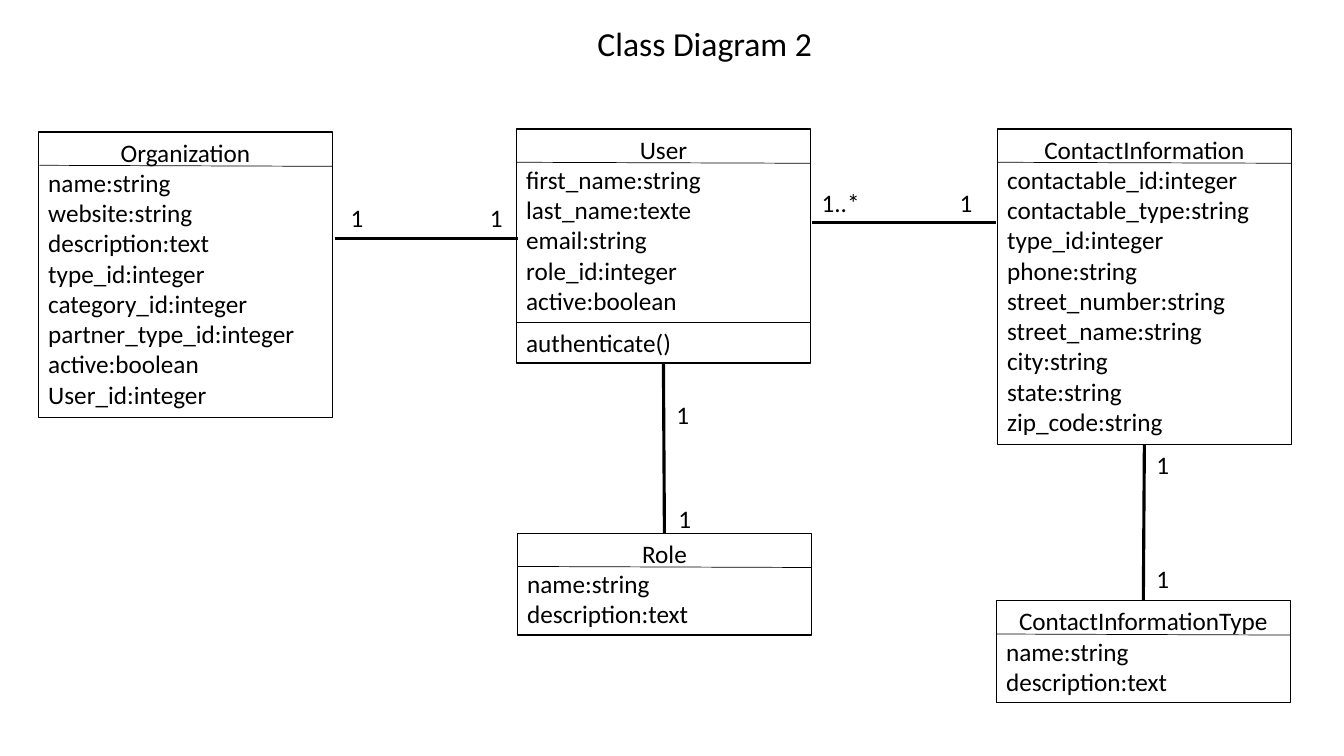
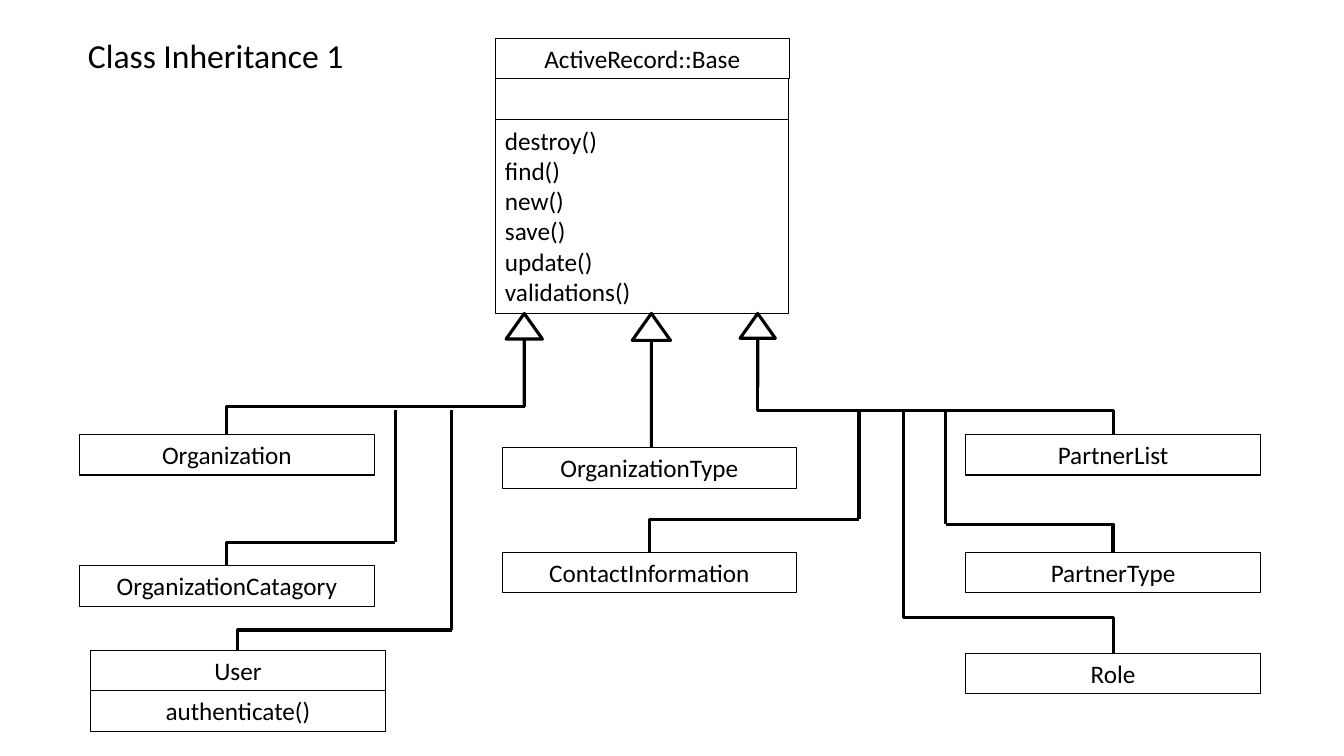
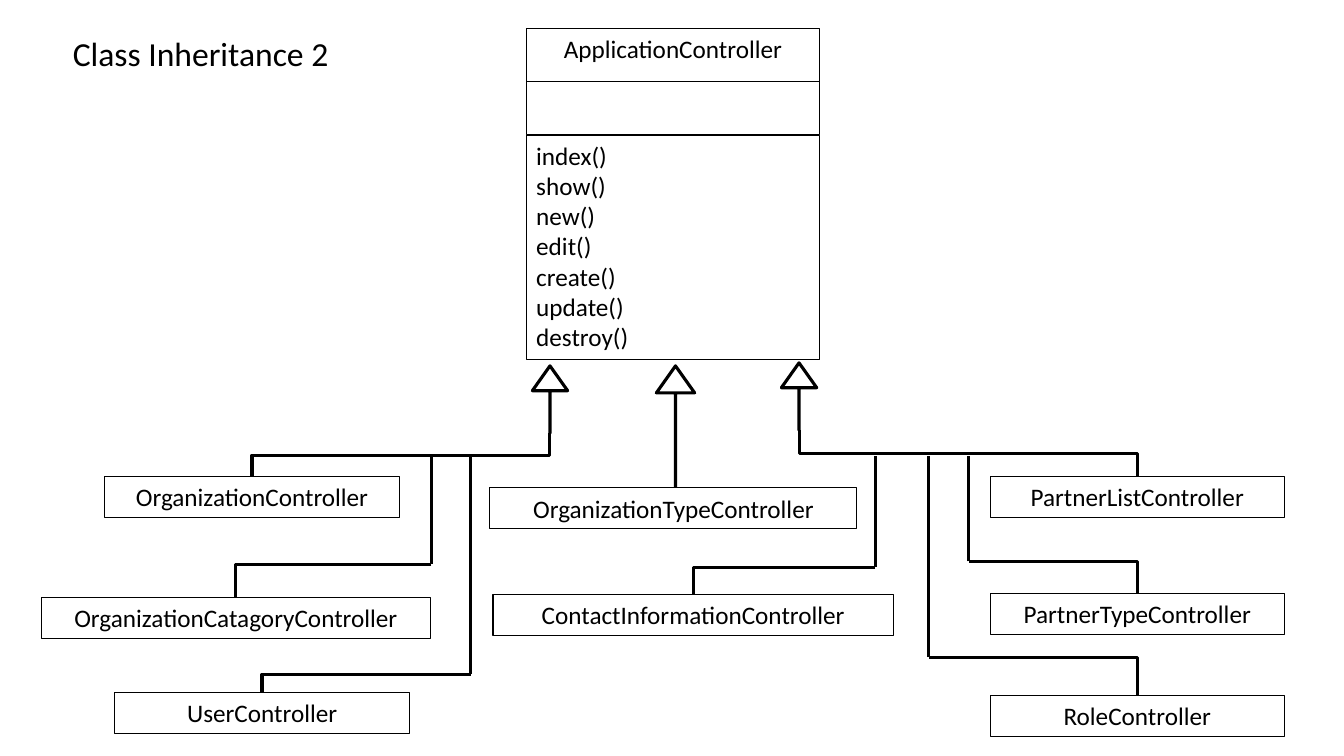
from pptx import Presentation
from pptx.dml.color import RGBColor
from pptx.enum.shapes import MSO_CONNECTOR, MSO_SHAPE
from pptx.enum.text import MSO_ANCHOR, PP_ALIGN
from pptx.oxml.ns import qn
from pptx.util import Inches, Pt

RECT, ARROW = MSO_SHAPE.RECTANGLE, MSO_SHAPE.UP_ARROW
STRAIGHT, ELBOW = MSO_CONNECTOR.STRAIGHT, MSO_CONNECTOR.ELBOW
LEFT, CENTER, TOP = PP_ALIGN.LEFT, PP_ALIGN.CENTER, MSO_ANCHOR.TOP
BLACK, WHITE, FONT = "000000", "FFFFFF", "Calibri"
WIDE, ROW, PAD = 2.92, 0.91 / 3, 0.1
THIN, EDGE, BOLD = 0.5, 0.75, 2.25


def color(text):
    return RGBColor.from_string(text)


class Deck:
    """Draws class diagrams in one shared style."""

    def __init__(self):
        self.prs = Presentation()
        self.prs.slide_width, self.prs.slide_height = Inches(13.33), Inches(7.5)

    def page(self, title, x, y):
        self.shapes = self.prs.slides.add_slide(self.prs.slide_layouts[6]).shapes
        self.label(x, y, title, 3.94, 0.5, 24, CENTER)

    def fill_text(self, frame, lines, size):
        frame.word_wrap = True
        frame.vertical_anchor = TOP
        for i, (text, align) in enumerate(lines):
            para = frame.add_paragraph() if i else frame.paragraphs[0]
            para.text, para.alignment = text, align
            para.font.name, para.font.size = FONT, Pt(size)
            para.font.color.rgb = color(BLACK)

    def label(self, x, y, text, w=0.49, h=0.4, size=18, align=LEFT):
        area = self.shapes.add_textbox(*map(Inches, (x, y, w, h)))
        self.fill_text(area.text_frame, [(text, align)], size)

    def outline(self, kind, x, y, w, h, weight, fill=None):
        shape = self.shapes.add_shape(kind, *map(Inches, (x, y, w, h)))
        shape.shadow.inherit = False
        if fill:
            shape.fill.solid()
            shape.fill.fore_color.rgb = color(fill)
        else:
            shape.fill.background()
        shape.line.color.rgb, shape.line.width = color(BLACK), Pt(weight)
        return shape

    def box(self, x, y, name=None, rows=(), w=WIDE, h=None, weight=EDGE, fill=None):
        lines = [(name, CENTER)] if name else []
        lines += [(row, LEFT) for row in rows]
        h = h or PAD + ROW * max(len(lines), 1)
        shape = self.outline(RECT, x, y, w, h, weight, fill)
        if lines:
            self.fill_text(shape.text_frame, lines, 18)

    def table(self, x, y, name, *rows):
        self.box(x, y, name, rows)
        self.line(x + 0.01, y + 0.33, x + WIDE, y + 0.34, THIN)

    def line(self, x1, y1, x2, y2, weight=BOLD, kind=STRAIGHT):
        link = self.shapes.add_connector(kind, *map(Inches, (x1, y1, x2, y2)))
        link.line.color.rgb, link.line.width = color(BLACK), Pt(weight)
        props = link.element.spPr
        props.append(props.makeelement(qn("a:effectLst"), {}))
        return link

    def corner(self, x1, y1, x2, y2):
        link = self.line(x1, y1, x2, y2, kind=ELBOW)
        link.element.spPr.find(qn("a:prstGeom")).set("prst", "bentConnector2")

    def step(self, x1, y1, x2, y2):
        mid, half = ((x1 + x2) / 2, (y1 + y2) / 2), ((x2 - x1) / 2, (y2 - y1) / 2)
        link = self.line(mid[0] + half[1], mid[1] - half[0],
                         mid[0] - half[1], mid[1] + half[0], kind=ELBOW)
        link.rotation = 270

    def arrow(self, x, y, w, h):
        shape = self.outline(ARROW, x, y, w, h, BOLD)
        shape.adjustments[0], shape.adjustments[1] = 0, 0.705

    def leaf(self, x, y, name, stem, bar, turn, w=WIDE):
        self.box(x, y, name, w=w)
        self.line(stem, turn, stem, bar)
        self.corner(stem, turn, x + w / 2, y)


deck = Deck()

deck.page("Class Diagram 2", 5.02, 0.18)
deck.table(0.38, 1.31, "Organization", "name:string", "website:string",
           "description:text", "type_id:integer", "category_id:integer",
           "partner_type_id:integer", "active:boolean", "User_id:integer")
deck.table(5.12, 1.28, "User", "first_name:string", "last_name:texte",
           "email:string", "role_id:integer", "active:boolean")
deck.box(5.12, 3.2, rows=["authenticate()"], weight=1)
deck.table(9.89, 1.28, "ContactInformation", "contactable_id:integer",
           "contactable_type:string", "type_id:integer", "phone:string",
           "street_number:string", "street_name:string", "city:string",
           "state:string", "zip_code:string")
deck.table(5.13, 5.29, "Role", "name:string", "description:text")
deck.table(9.88, 5.96, "ContactInformationType", "name:string", "description:text")
for ends in ((3.32, 2.37, 5.14, 2.37), (8.05, 2.21, 9.88, 2.21),
             (6.58, 3.61, 6.59, 5.29), (11.35, 4.41, 11.34, 5.96)):
    deck.line(*ends)
for x, y in ((3.38, 1.96), (4.76, 1.96), (9.42, 1.81), (6.61, 3.91),
             (6.63, 4.94), (11.37, 4.41), (11.37, 5.54)):
    deck.label(x, y, "1")
deck.label(8.05, 1.81, "1..*", 0.64)

deck.page("Class Inheritance 1", 0.17, 0.3)
deck.box(4.91, 0.38, "ActiveRecord::Base")
deck.box(4.91, 0.78, w=2.91)
deck.box(4.91, 1.19, w=2.91, rows=["destroy()", "find()", "new()", "save()",
                                   "update()", "validations()"])
for x, w, h in ((5.02, 0.36, 0.92), (6.27, 0.38, 1.33), (7.34, 0.35, 0.73)):
    deck.arrow(x, 3.11, w, h)
deck.box(0.79, 4.31, "Organization")
deck.corner(5.21, 4.03, 2.25, 4.31)
deck.box(9.58, 4.31, "PartnerList")
deck.step(7.51, 3.84, 11.04, 4.31)
deck.box(4.98, 4.44, "OrganizationType", fill=WHITE)
for x, y, name, stem, turn in (
        (0.79, 5.61, "OrganizationCatagory", 3.92, 5.38),
        (0.9, 6.45, "User", 4.48, 6.25),
        (4.98, 5.48, "ContactInformation", 8.52, 5.15),
        (9.58, 5.48, "PartnerType", 9.38, 5.2),
        (9.58, 6.48, "Role", 8.96, 6.13)):
    deck.leaf(x, y, name, stem, 4.07, turn)
deck.box(0.9, 6.85, "authenticate()")

deck.page("Class Inheritance 2", 0.02, 0.28)
deck.box(5.22, 0.28, "ApplicationController", w=2.91, h=0.53)
deck.box(5.22, 0.81, w=2.91, h=0.53)
deck.box(5.22, 1.34, w=2.91, rows=["index()", "show()", "new()", "edit()",
                                   "create()", "update()", "destroy()"])
for x, y, w, h in ((5.28, 3.63, 0.35, 0.67), (6.51, 3.63, 0.38, 1.21),
                   (7.75, 3.6, 0.35, 0.67)):
    deck.arrow(x, y, w, h)
deck.box(1.04, 4.73, "OrganizationController")
deck.step(2.5, 4.73, 5.45, 4.3)
deck.box(9.82, 4.73, "PartnerListController")
deck.step(7.93, 4.27, 11.28, 4.73)
deck.box(4.86, 4.84, "OrganizationTypeController", w=3.64, fill=WHITE)
for x, y, name, stem, turn, w in (
        (0.41, 5.93, "OrganizationCatagoryController", 4.28, 5.6, 3.86),
        (1.14, 6.87, "UserController", 4.67, 6.69, WIDE),
        (4.89, 5.9, "ContactInformationController", 8.68, 5.63, 3.97),
        (9.82, 5.89, "PartnerTypeController", 9.61, 5.57, WIDE),
        (9.82, 6.9, "RoleController", 9.21, 6.52, WIDE)):
    deck.leaf(x, y, name, stem, 4.52, turn, w)

deck.prs.save("out.pptx")
